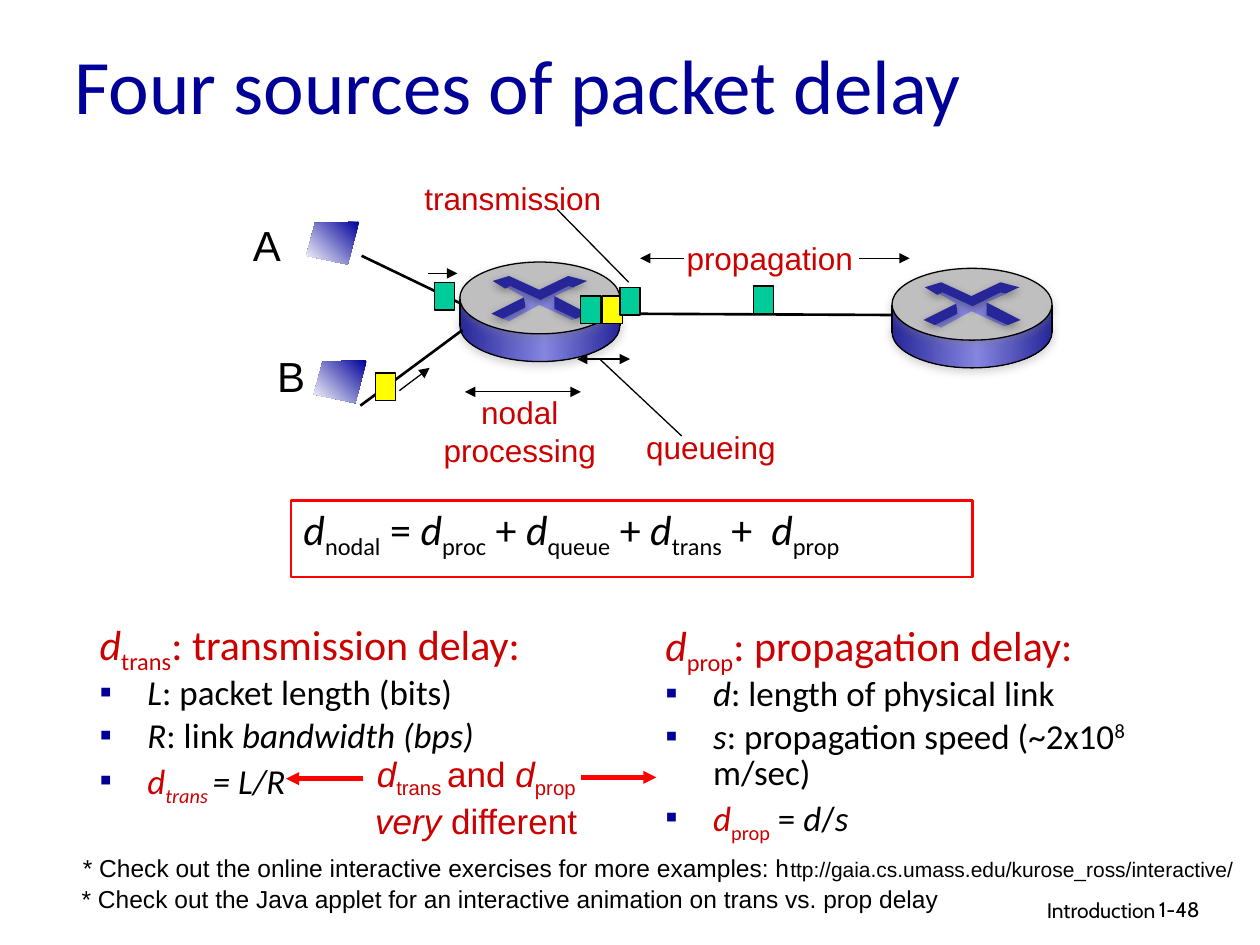
from lxml import etree
from pptx import Presentation
from pptx.dml.color import RGBColor
from pptx.enum.shapes import MSO_CONNECTOR, MSO_SHAPE as Preset
from pptx.enum.text import MSO_ANCHOR as Anchor, MSO_AUTO_SIZE as AutoSize, PP_ALIGN as Align
from pptx.oxml.ns import qn
from pptx.util import Inches, Pt

COLORS = {
    "black": "000000", "white": "FFFFFF", "red": "CC0000", "frame": "FF0000",
    "navy": "000099", "green": "00CC99", "yellow": "FFFF00", "grey": "BFBFBF",
    "rim": "262699", "shine": "8585E0", "shade": "808080",
}
# Router symbol outlines, in inches from the router's top left corner
CROSS = [(.63, .34), (.39, .47), (.32, .44), (.52, .36), (.51, .28), (.37, .2), (.42, .19),
         (.63, .29), (.85, .18), (.91, .2), (.75, .27), (.78, .38), (.94, .44), (.89, .46)]
CHEVRON = [(.26, .15), (.39, .11), (.63, .22), (.86, .11), (1.01, .15), (.9, .2),
           (.86, .19), (.64, .3), (.4, .19), (.36, .21)]
RIGHT_LEG = [(.75, .27), (1.02, .41), (.92, .45), (.75, .37)]
LEFT_LEG = [(.51, .28), (.52, .36), (.34, .45), (.25, .41)]
SCREEN = [(.42, 0), (.07, .01), (0, .27), (.33, .34)]


def rgb(name):
    return RGBColor.from_string(COLORS[name])


def child(parent, tag, **attributes):
    element = etree.SubElement(parent, qn(tag))
    for key, value in attributes.items():
        element.set(key, str(value))
    return element


def write(paragraph, runs, size, font="Arial", color="black", align=Align.LEFT):
    """Fill a paragraph from (text, style) pairs; style letters: i italic, - sub, + super, r red."""
    paragraph.alignment = align
    for text, style in runs:
        run = paragraph.add_run()
        run.text = text
        run.font.size, run.font.name = Pt(size), font
        run.font.italic = "i" in style
        run.font.color.rgb = rgb("red" if "r" in style else color)
        for mark, baseline in (("-", "-25000"), ("+", "30000")):
            if mark in style:
                run._r.get_or_add_rPr().set("baseline", baseline)


def hang(paragraph, indent, bullet):
    props = paragraph._p.get_or_add_pPr()
    props.set("marL", str(Inches(indent)))
    props.set("indent", str(-Inches(indent)))
    paragraph.line_spacing = 0.85
    paragraph.space_before = Pt(4 if bullet else 0)
    if bullet:
        child(child(props, "a:buClr"), "a:srgbClr", val=COLORS["navy"])
        child(props, "a:buChar", char="▪")
    else:
        child(props, "a:buNone")


def place(shape, left, top, width, height):
    shape.left, shape.top = Inches(left), Inches(top)
    shape.width, shape.height = Inches(width), Inches(height)


def add_text(slide, box, lines, size, wrap=True, **style):
    frame = slide.shapes.add_textbox(*map(Inches, box)).text_frame
    frame.word_wrap = wrap
    for index, runs in enumerate(lines):
        paragraph = frame.add_paragraph() if index else frame.paragraphs[0]
        write(paragraph, runs, size, **style)


def add_label(slide, box, *lines, size=18, color="red"):
    add_text(slide, box, [[(line, "")] for line in lines], size, wrap=False,
             color=color, align=Align.CENTER if len(lines) > 1 else Align.LEFT)


def paint(shape, fill, line=None, width=0.75):
    shape.shadow.inherit = False
    if fill:
        shape.fill.solid()
        shape.fill.fore_color.rgb = rgb(fill)
    else:
        shape.fill.background()
    if line:
        shape.line.color.rgb, shape.line.width = rgb(line), Pt(width)
    else:
        shape.line.fill.background()
    return shape


def add_preset(slide, kind, box, fill, line=None, width=0.75):
    return paint(slide.shapes.add_shape(kind, *map(Inches, box)), fill, line, width)


def add_outline(slide, left, top, points, fill):
    corners = [(Inches(left + x), Inches(top + y)) for x, y in points]
    builder = slide.shapes.build_freeform(*corners[0])
    builder.add_line_segments(corners[1:], close=True)
    return paint(builder.convert_to_shape(), fill)


def add_gradient(shape, stops, angle):
    shape.fill.gradient()
    gradient = shape._element.spPr.find(qn("a:gradFill"))
    for element in list(gradient):
        gradient.remove(element)
    stop_list = child(gradient, "a:gsLst")
    for position, name in stops:
        child(child(stop_list, "a:gs", pos=position * 1000), "a:srgbClr", val=COLORS[name])
    child(gradient, "a:lin", ang=angle * 60000, scaled=0)


def add_shadow(shape, color):
    effects = shape._element.spPr.find(qn("a:effectLst"))
    shadow = child(effects, "a:outerShdw", blurRad=Pt(5), dist=Pt(1.8), dir=90 * 60000,
                   algn="ctr", rotWithShape=0)
    child(child(shadow, "a:srgbClr", val=COLORS[color]), "a:alpha", val=35000)


def add_line(slide, start, end, width=0.75, color="black", arrows=""):
    """Draw a straight line; arrows names the ends with a triangle: head is start, tail is end."""
    line = slide.shapes.add_connector(MSO_CONNECTOR.STRAIGHT, *map(Inches, start + end))
    line.line.color.rgb, line.line.width = rgb(color), Pt(width)
    props = line._element.spPr
    for name in arrows.split():
        child(props.find(qn("a:ln")), f"a:{name}End", type="triangle")
    child(props, "a:effectLst")
    return line


def add_router(slide, left, top):
    width, height = 1.27, 0.57
    bands = [(0, "rim"), (53, "shine"), (100, "rim")]
    base = add_preset(slide, Preset.OVAL, (left, top + .22, width, height), "rim", "black")
    side = add_preset(slide, Preset.RECTANGLE, (left, top + .3, width, .21), "rim")
    for part in (base, side):
        add_gradient(part, bands, 0)
    lid = add_preset(slide, Preset.OVAL, (left, top, width, height), "grey", "black")
    for part in (base, lid):
        add_shadow(part, "shade")
    add_outline(slide, left, top, CROSS, "shine")
    for points in (CHEVRON, RIGHT_LEG, LEFT_LEG):
        add_shadow(add_outline(slide, left, top, points, "rim"), "black")
    for x in (left, left + width):
        add_shadow(add_line(slide, (x, top + .51), (x, top + .29)), "shade")


def add_host(slide, left, top, name, name_box):
    screen = add_outline(slide, left, top, SCREEN, "navy")
    add_gradient(screen, [(0, "navy"), (100, "white")], 135)
    add_label(slide, name_box, name, size=24, color="black")


def add_packet(slide, left, top, color):
    add_preset(slide, Preset.RECTANGLE, (left, top, .16, .22), color, "black")


def add_network(slide):
    add_line(slide, (2.87, 2.03), (3.68, 2.42), 1.5)
    add_router(slide, 3.65, 2.08)
    add_line(slide, (4.97, 2.49), (7.09, 2.5), 1.5)
    add_line(slide, (2.86, 3.22), (3.67, 2.62), 1.5)
    add_router(slide, 7.08, 2.13)
    add_host(slide, 2.43, 1.76, "A", (1.91, 1.69, .44, .51))
    add_host(slide, 2.49, 2.86, "B", (2.1, 2.73, .42, .5))
    for left, top, color in ((5.98, 2.27, "green"), (4.61, 2.35, "green"), (4.78, 2.35, "yellow"),
                             (4.92, 2.28, "green"), (3.45, 2.24, "green"), (2.98, 2.96, "yellow")):
        add_packet(slide, left, top, color)
    add_label(slide, (3.27, 1.37, 1.6, .4), "transmission")
    add_label(slide, (5.35, 1.85, 1.52, .4), "propagation")
    add_label(slide, (3.42, 3.07, 1.41, .7), "nodal", "processing")
    add_label(slide, (5.03, 3.35, 1.23, .4), "queueing")
    for start, end, arrows in (
            ((6.82, 2.05), (7.22, 2.05), "tail"), ((5.43, 2.05), (5.08, 2.05), "tail"),
            ((3.4, 2.17), (3.63, 2.17), "tail"), ((3.17, 3.1), (3.41, 2.92), "tail"),
            ((4.61, 3.11), (3.69, 3.11), "head tail"), ((5, 2.85), (4.58, 2.85), "head tail"),
            ((5.41, 3.46), (4.76, 2.85), ""), ((4.42, 1.66), (4.99, 2.24), "")):
        add_line(slide, start, end, arrows=arrows)


def add_formula(slide, box):
    frame = add_preset(slide, Preset.RECTANGLE, box, None, "frame", 1.5).text_frame
    frame.vertical_anchor = Anchor.TOP
    runs = [("d", "i"), ("nodal", "-")]
    for sign, term in ((" = ", "proc"), (" + ", "queue"), (" + ", "trans"), (" +  ", "prop")):
        runs += [(sign, ""), ("d", "i"), (term, "-")]
    hang(frame.paragraphs[0], .31, False)
    write(frame.paragraphs[0], runs, 24, "Calibri")


def fill_delay_list(body, box, term, heading, items):
    place(body, *box)
    frame = body.text_frame
    frame.auto_size = AutoSize.NONE
    hang(frame.paragraphs[0], .38, False)
    write(frame.paragraphs[0], [("d", "i"), (term, "-"), (heading, "")], 24, "Calibri", "red")
    for runs in items:
        paragraph = frame.add_paragraph()
        hang(paragraph, .38, True)
        write(paragraph, runs, 20, "Calibri")


def add_comparison(slide):
    add_text(slide, (2.63, 5.92, 2.3, .77),
             [[("d", "i"), ("trans ", "-"), ("and ", ""), ("d", "i"), ("prop", "-")],
              [("very ", "i"), ("different", "")]], 20, color="red", align=Align.CENTER)
    for tip, end, y in ((2.27, 2.88, 6.18), (5.21, 4.61, 6.17)):
        add_line(slide, (tip, y), (end, y), 2.5, "frame", "head")


def add_footer(slide):
    add_text(slide, (.55, 6.97, 7.4, .34), [[(
        "* Check out the Java applet for an interactive animation on trans vs. prop delay", "")]], 14)
    note = [("* Check out the online interactive exercises for more examples: h", ""),
            ("ttp://gaia.cs.umass.edu/kurose_ross/interactive/", "")]
    add_text(slide, (.56, 6.72, 9.44, .34), [note], 14)
    slide.shapes[-1].text_frame.paragraphs[0].runs[1].font.size = Pt(12)
    add_text(slide, (6.1, 7.07, 3.17, .31), [[("Introduction", "")]], 12, font="Cabin", align=Align.RIGHT)
    add_text(slide, (9.1, 7.07, .74, .3), [[("1-48", "")]], 12, font="Cabin")


def main():
    deck = Presentation()
    deck.slide_width, deck.slide_height = Inches(10), Inches(7.5)
    slide = deck.slides.add_slide(deck.slide_layouts[3])
    title, trans_body, prop_body = slide.placeholders
    place(title, .49, .22, 8.5, .89)
    title.text_frame.vertical_anchor = Anchor.MIDDLE
    title.text_frame.auto_size = AutoSize.NONE
    write(title.text_frame.paragraphs[0], [("Four sources of packet delay", "")], 44, "Calibri", "navy")
    fill_delay_list(trans_body, (.69, 4.88, 4.17, 2.27), "trans", ": transmission delay:", [
        [("L", "i"), (": packet length (bits)", "")],
        [("R", "i"), (": link ", ""), ("bandwidth (bps)", "i")],
        [("d", "ir"), ("trans ", "i-r"), ("= L/R", "i")]])
    fill_delay_list(prop_body, (5.18, 4.89, 4.54, 2.4), "prop", ": propagation delay:", [
        [("d", "i"), (": length of physical link", "")],
        [("s", "i"), (": propagation speed (~2x10", ""), ("8", "+"), (" m/sec)", "")],
        [("d", "ir"), ("prop", "-r"), (" = ", ""), ("d", "i"), ("/", ""), ("s", "i")]])
    add_network(slide)
    add_formula(slide, (2.31, 3.97, 5.41, .61))
    add_comparison(slide)
    add_footer(slide)
    deck.save("out.pptx")


if __name__ == "__main__":
    main()
